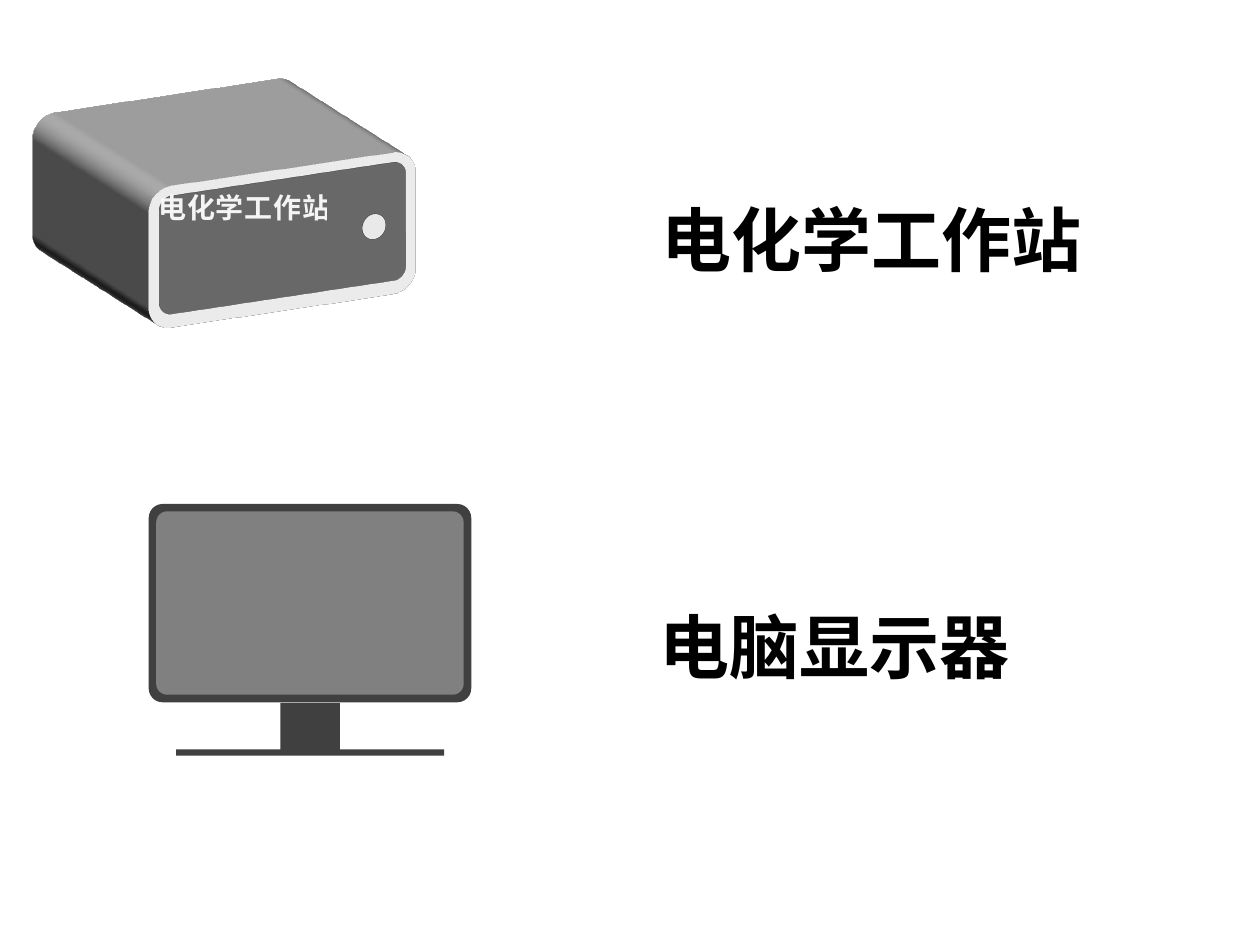
"""Build a slide of an electrochemical workstation and a computer monitor."""
from dataclasses import dataclass

from lxml.etree import SubElement
from pptx import Presentation
from pptx.dml.color import RGBColor
from pptx.enum.shapes import MSO_SHAPE
from pptx.enum.text import MSO_AUTO_SIZE, PP_ALIGN
from pptx.oxml.ns import qn
from pptx.util import Pt


@dataclass(frozen=True)
class Theme:
    font: str = "Calibri"
    label_size: int = 40
    panel_size: int = 16
    black: str = "000000"
    panel_text: str = "FCFCFD"
    case: str = "D9D9D9"
    panel: str = "595959"
    frame: str = "404040"
    screen: str = "808080"


theme = Theme()
prs = Presentation()
prs.slide_width, prs.slide_height = Pt(720), Pt(540)
s = prs.slides.add_slide(prs.slide_layouts[6])
station = s.shapes.add_group_shape()
monitor = s.shapes.add_group_shape()


def extrude(sp, depth):
    scene = SubElement(sp._element.spPr, qn("a:scene3d"))
    SubElement(scene, qn("a:camera"), prst="isometricOffAxis1Right")
    SubElement(scene, qn("a:lightRig"), rig="threePt", dir="t")
    SubElement(sp._element.spPr, qn("a:sp3d"), extrusionH=str(Pt(depth)))


parts = [
    (station, MSO_SHAPE.ROUNDED_RECTANGLE, 76.3, 94.3, 169.9, 85, 0.17, theme.case, 151),
    (station, MSO_SHAPE.ROUNDED_RECTANGLE, 83.5, 100.8, 156.2, 70.6, 0.11, theme.panel, 0.5),
    (station, MSO_SHAPE.OVAL, 206.6, 122.4, 14.4, 14.4, None, theme.case, 0.5),
    (monitor, MSO_SHAPE.ROUNDED_RECTANGLE, 85, 288, 184.3, 113.3, 0.07, theme.frame, 0),
    (monitor, MSO_SHAPE.ROUNDED_RECTANGLE, 89.3, 292.2, 175.7, 104.8, 0.06, theme.screen, 0),
    (monitor, MSO_SHAPE.RECTANGLE, 160.2, 401.6, 34, 28, None, theme.frame, 0),
    (monitor, MSO_SHAPE.RECTANGLE, 100.6, 428.2, 153.2, 3.6, None, theme.frame, 0),
]
for group, kind, x, y, w, h, adj, color, depth in parts:
    sp = group.shapes.add_shape(kind, Pt(x), Pt(y), Pt(w), Pt(h))
    if adj:
        sp.adjustments[0] = adj
    sp.shadow.inherit = False
    sp.fill.solid()
    sp.fill.fore_color.rgb = RGBColor.from_string(color)
    sp.line.fill.background()
    if depth:
        extrude(sp, depth)

texts = [
    (station, "电化学工作站", 82, 105.5, 115.2, 26.6, theme.panel_size, theme.panel_text, False),
    (s, "电化学工作站", 371.2, 108.7, 289.4, 55.4, theme.label_size, theme.black, True),
    (s, "电脑显示器", 370, 341.3, 289.4, 55.4, theme.label_size, theme.black, True),
]
for parent, text, x, y, w, h, size, color, wrap in texts:
    tf = parent.shapes.add_textbox(Pt(x), Pt(y), Pt(w), Pt(h)).text_frame
    tf.word_wrap = wrap
    tf.auto_size = MSO_AUTO_SIZE.SHAPE_TO_FIT_TEXT
    p = tf.paragraphs[0]
    p.alignment = PP_ALIGN.LEFT if wrap else PP_ALIGN.CENTER
    r = p.add_run()
    r.text = text
    r.font.name = theme.font
    r.font.size = Pt(size)
    r.font.bold = True
    r.font.color.rgb = RGBColor.from_string(color)
    if not wrap:
        rpr = r._r.get_or_add_rPr()
        rpr.set("spc", "50")
        SubElement(rpr.find(".//" + qn("a:srgbClr")), qn("a:alpha"), val="95000")

prs.save("out.pptx")
